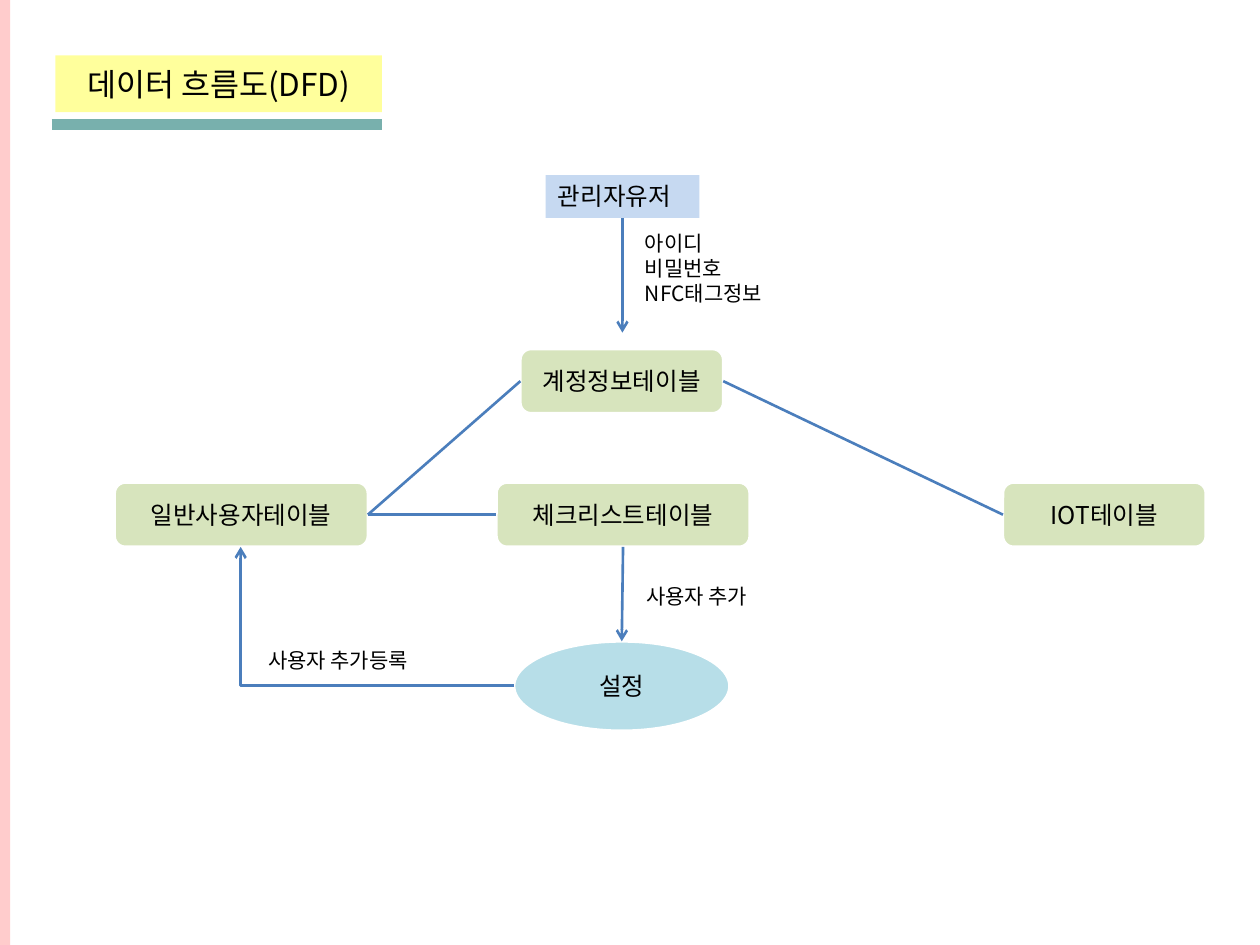
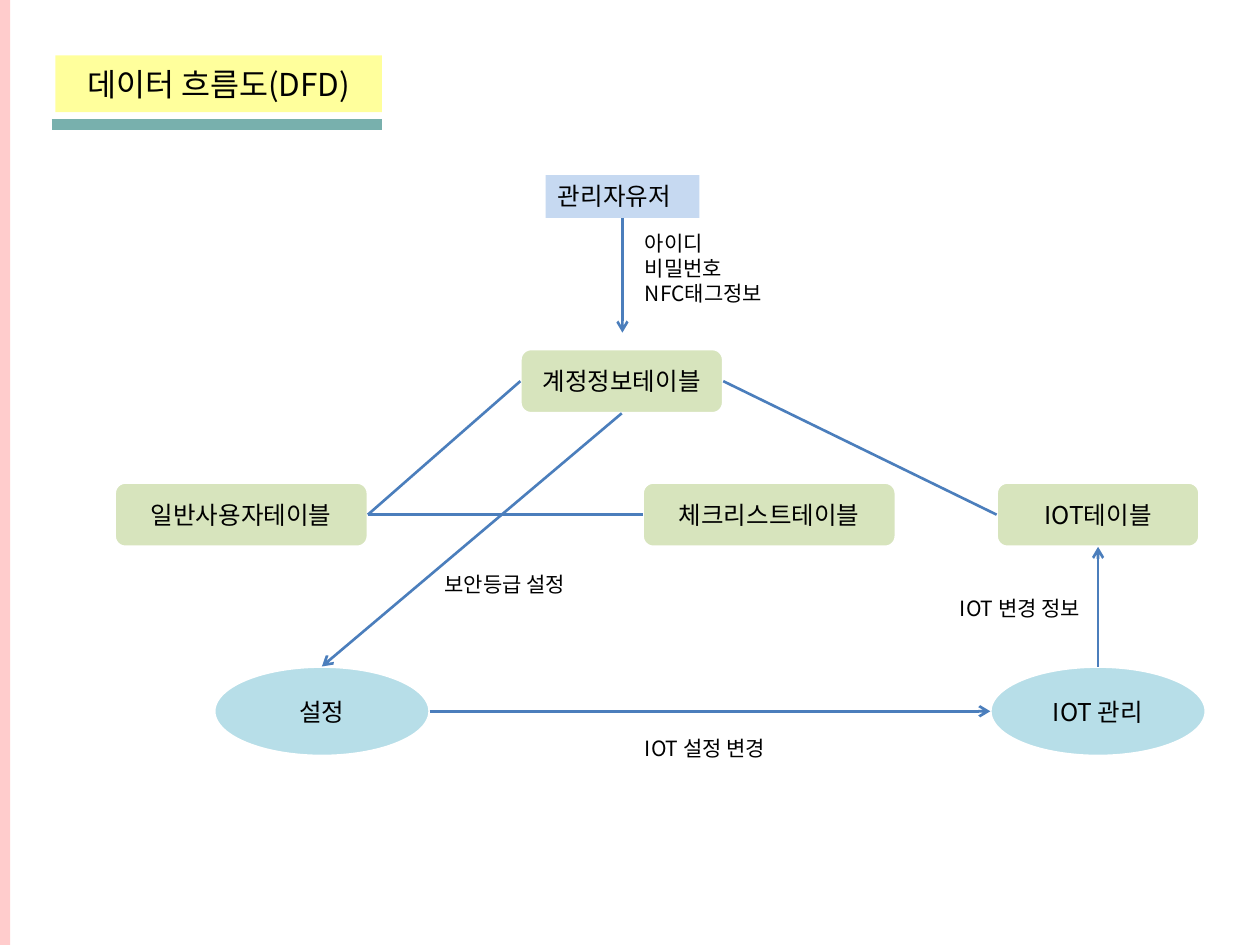
from lxml.etree import SubElement
from pptx import Presentation
from pptx.dml.color import RGBColor
from pptx.enum.shapes import MSO_CONNECTOR as CONNECTOR, MSO_SHAPE as SHAPE
from pptx.enum.text import MSO_ANCHOR as ANCHOR, PP_ALIGN as ALIGN
from pptx.oxml.ns import qn
from pptx.util import Inches, Pt

FONT = "Noto Sans CJK KR"
BLACK = RGBColor(0x00, 0x00, 0x00)
WHITE = RGBColor(0xFF, 0xFF, 0xFF)
YELLOW = RGBColor(0xFF, 0xFF, 0x00)
TEAL = RGBColor(0x78, 0xB0, 0xAD)
PINK = RGBColor(0xFF, 0xCC, 0xCC)
USER_BLUE = RGBColor(0xC6, 0xD9, 0xF1)
TABLE_GREEN = RGBColor(0xD7, 0xE4, 0xBD)
PROCESS_BLUE = RGBColor(0xB7, 0xDE, 0xE8)
FLOW_BLUE = RGBColor(0x4B, 0x7E, 0xBC)

TOP, LEFT, BOTTOM, RIGHT = range(4)
AXIS_X = 4.94
TABLE_HEIGHT = 0.51
ROW_TOP = 3.83
PROCESS_WIDTH, PROCESS_HEIGHT = 1.71, 0.71


def write(frame, text, size, align=ALIGN.CENTER, anchor=ANCHOR.MIDDLE):
    frame.text = text
    frame.word_wrap = True
    frame.vertical_anchor = anchor
    for paragraph in frame.paragraphs:
        paragraph.alignment = align
        for run in paragraph.runs:
            run.font.size = Pt(size)
            run.font.name = FONT
            run.font.color.rgb = BLACK
            SubElement(run.font._element, qn("a:ea"), typeface=FONT)


def add_block(slide, kind, left, top, width, height, fill, outline=None):
    block = slide.shapes.add_shape(
        kind, Inches(left), Inches(top), Inches(width), Inches(height))
    block.shadow.inherit = False
    block.fill.solid()
    block.fill.fore_color.rgb = fill
    if outline is None:
        block.line.fill.background()
    else:
        block.line.color.rgb = outline
        block.line.width = Pt(1.5)
    return block


def add_table_node(slide, text, left, top, width):
    node = add_block(slide, SHAPE.ROUNDED_RECTANGLE, left, top, width,
                     TABLE_HEIGHT, TABLE_GREEN, WHITE)
    write(node.text_frame, text, 14)
    return node


def add_process(slide, text, left, top):
    process = add_block(slide, SHAPE.OVAL, left, top, PROCESS_WIDTH,
                        PROCESS_HEIGHT, PROCESS_BLUE, WHITE)
    write(process.text_frame, text, 14)
    return process


def add_label(slide, text, left, top, height=0.3):
    label = slide.shapes.add_textbox(
        Inches(left), Inches(top), Inches(1.5), Inches(height))
    write(label.text_frame, text, 12, ALIGN.LEFT, ANCHOR.TOP)


def style_line(line, color, width, arrow=False):
    line.line.color.rgb = color
    line.line.width = Pt(width)
    if arrow:
        SubElement(line.line._get_or_add_ln(), qn("a:tailEnd"), type="arrow")
    SubElement(line._element.spPr, qn("a:effectLst"))


def add_flow(slide, begin, end, arrow=False):
    """Join two ends, each an (x, y) point or a (shape, side) pair."""
    flow = slide.shapes.add_connector(CONNECTOR.STRAIGHT, 0, 0, 0, 0)
    if isinstance(begin[0], float):
        flow.begin_x, flow.begin_y = map(Inches, begin)
    if isinstance(end[0], float):
        flow.end_x, flow.end_y = map(Inches, end)
    if not isinstance(begin[0], float):
        flow.begin_connect(*begin)
    if not isinstance(end[0], float):
        flow.end_connect(*end)
    style_line(flow, FLOW_BLUE, 1.5, arrow)


def add_corner_flow(slide, left, top, right, bottom):
    """Arrow from the lower right, going left and then up."""
    flow = slide.shapes.add_connector(
        CONNECTOR.ELBOW, Inches(left), Inches(top), Inches(right), Inches(bottom))
    properties = flow._element.spPr
    properties.find(qn("a:prstGeom")).set("prst", "bentConnector2")
    properties.find(qn("a:xfrm")).set("rot", "10800000")
    style_line(flow, FLOW_BLUE, 1.5, arrow=True)


def add_titled_slide(deck):
    slide = deck.slides.add_slide(deck.slide_layouts[5])
    title = slide.shapes.title
    title.left, title.top = Inches(0.44), Inches(0.44)
    title.width, title.height = Inches(2.59), Inches(0.45)
    title.fill.solid()
    title.fill.fore_color.rgb = YELLOW
    yellow = title._element.spPr.find(qn("a:solidFill"))[0]
    SubElement(yellow, qn("a:alpha"), val="39000")
    write(title.text_frame, "데이터 흐름도(DFD)", 18)

    underline = slide.shapes.add_connector(
        CONNECTOR.STRAIGHT, Inches(0.41), Inches(0.99), Inches(3.03), Inches(0.99))
    style_line(underline, TEAL, 6)
    add_block(slide, SHAPE.RECTANGLE, 0, 0, 0.08, 7.5, PINK)
    return slide


def add_data_tables(slide, checklist_left, iot_left):
    """Draw the flow from the admin user down to the row of tables."""
    admin = add_block(slide, SHAPE.RECTANGLE, 4.33, 1.39, 1.22, 0.34, USER_BLUE)
    write(admin.text_frame, "관리자유저", 14, ALIGN.LEFT, ANCHOR.TOP)
    add_flow(slide, (admin, BOTTOM), (AXIS_X, 2.64), arrow=True)
    add_label(slide, "아이디\n비밀번호\nNFC태그정보", 5.02, 1.78, 0.71)

    account = add_table_node(slide, "계정정보테이블", 4.13, 2.77, 1.61)
    members = add_table_node(slide, "일반사용자테이블", 0.91, ROW_TOP, 2.01)
    checklist = add_table_node(
        slide, "체크리스트테이블", checklist_left, ROW_TOP, 2.01)
    iot = add_table_node(slide, "IOT테이블", iot_left, ROW_TOP, 1.61)
    add_flow(slide, (members, RIGHT), (account, LEFT))
    add_flow(slide, (account, RIGHT), (iot, LEFT))
    add_flow(slide, (members, RIGHT), (checklist, LEFT))
    return account, members, checklist, iot


def build_user_flow(deck):
    slide = add_titled_slide(deck)
    checklist = add_data_tables(slide, checklist_left=3.94, iot_left=7.96)[2]
    settings = add_process(slide, "설정", 4.08, 5.09)
    add_flow(slide, (checklist, BOTTOM), (settings, TOP), arrow=True)
    add_label(slide, "사용자 추가", 5.03, 4.58)
    add_corner_flow(slide, 1.91, 4.34, 4.08, 5.44)
    add_label(slide, "사용자 추가등록", 2.03, 5.09)


def build_iot_flow(deck):
    slide = add_titled_slide(deck)
    account = add_data_tables(slide, checklist_left=5.1, iot_left=7.91)[0]
    process_top = 5.29
    middle = process_top + PROCESS_HEIGHT / 2
    settings_left, control_left = 1.7, 7.86
    settings = add_process(slide, "설정", settings_left, process_top)
    control = add_process(slide, "IOT 관리", control_left, process_top)
    add_flow(slide, (account, BOTTOM), (settings, TOP), arrow=True)
    add_label(slide, "보안등급 설정", 3.43, 4.49)
    add_flow(slide, (settings_left + PROCESS_WIDTH, middle),
             (control_left, middle), arrow=True)
    add_label(slide, "IOT 설정 변경", 5.02, 5.79)
    add_flow(slide, (control, TOP),
             (control_left + PROCESS_WIDTH / 2, ROW_TOP + TABLE_HEIGHT), arrow=True)
    add_label(slide, "IOT 변경 정보", 7.52, 4.68)


def main():
    deck = Presentation()
    deck.slide_width, deck.slide_height = Inches(10), Inches(7.5)
    build_user_flow(deck)
    build_iot_flow(deck)
    deck.save("out.pptx")


if __name__ == "__main__":
    main()
